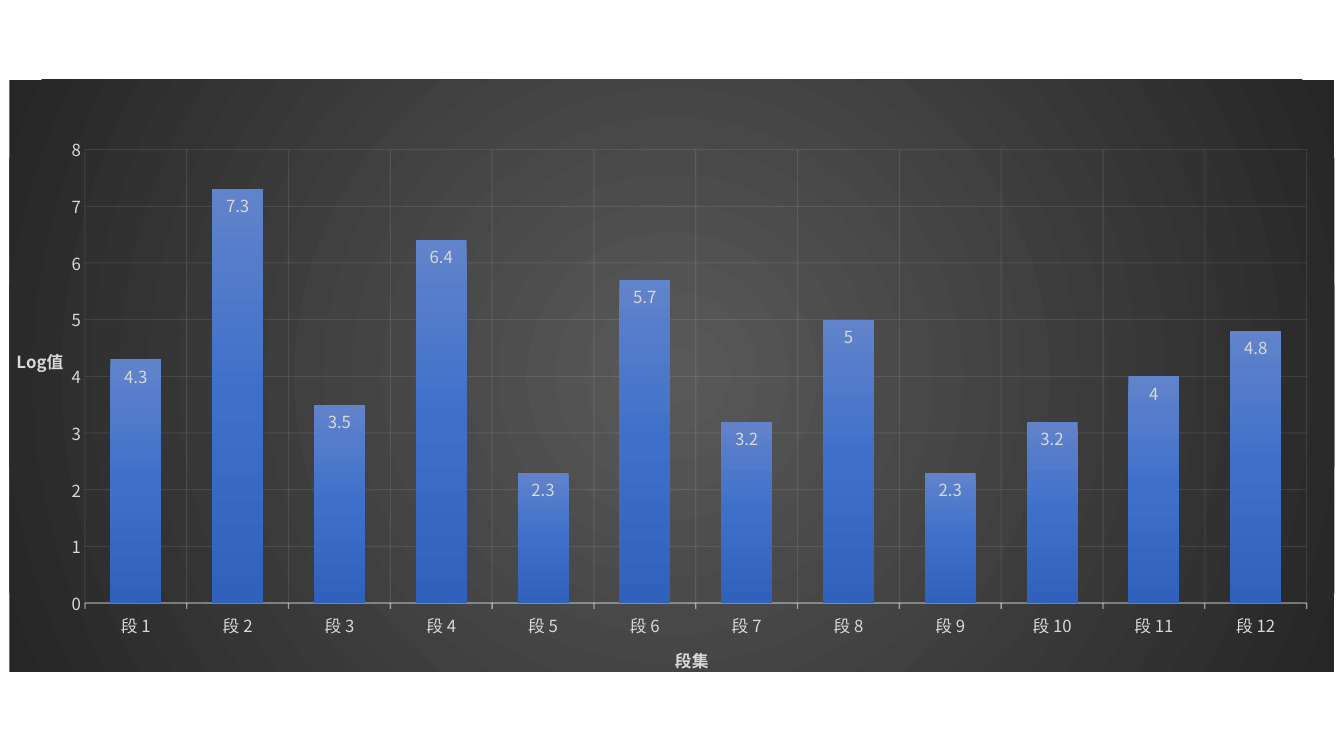
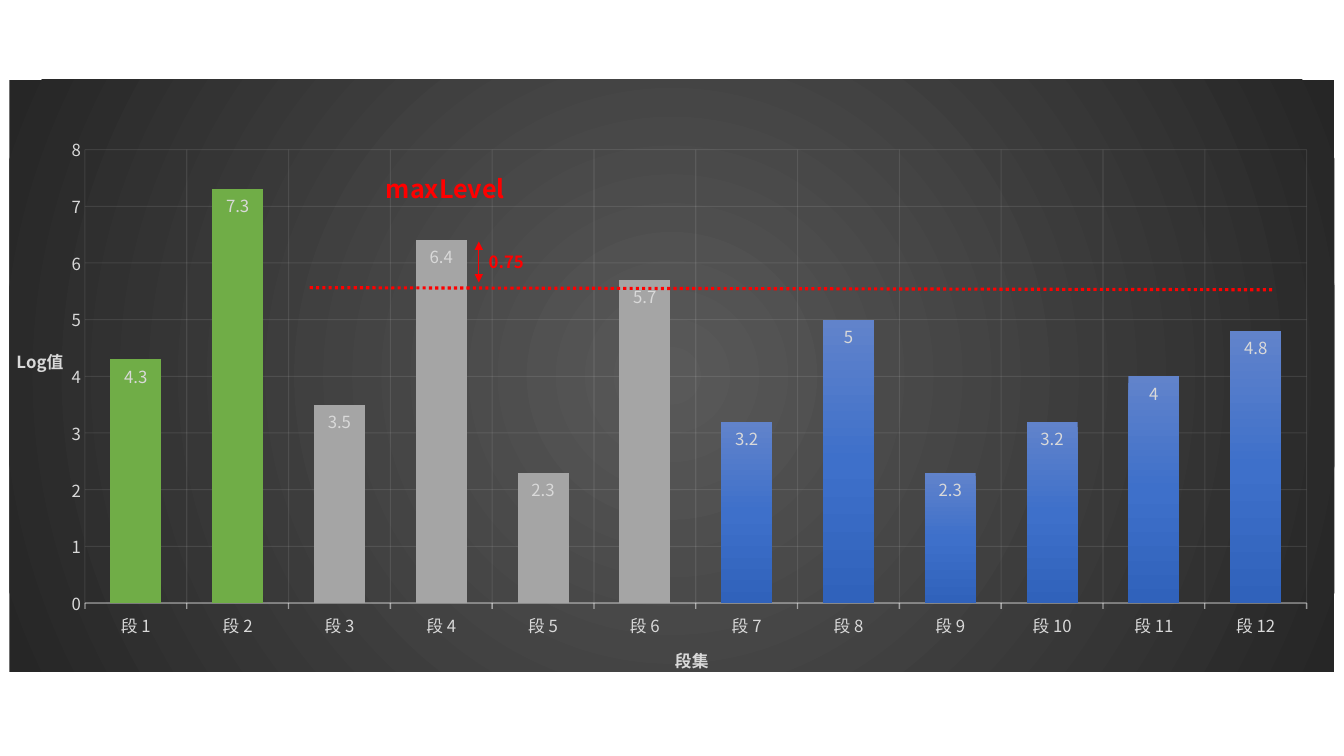
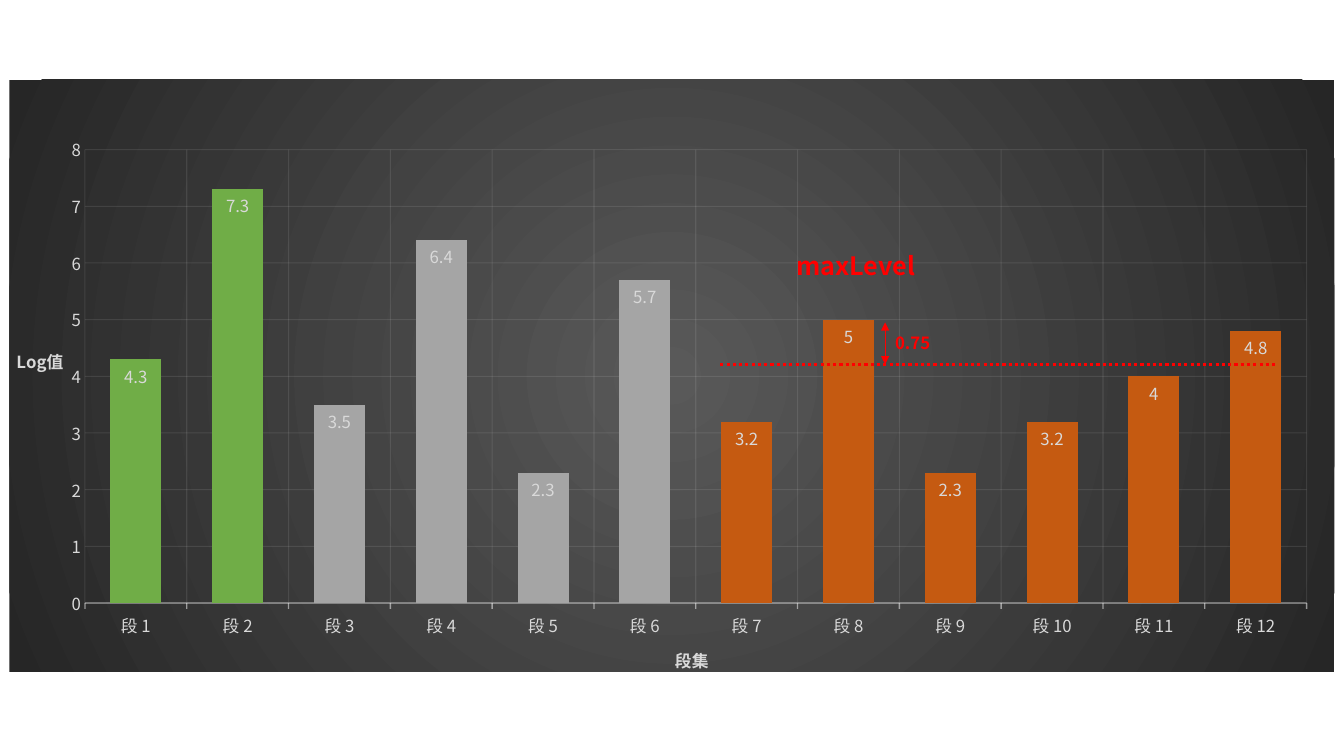
from pptx import Presentation
from pptx.chart.data import CategoryChartData
from pptx.dml.color import RGBColor
from pptx.enum.chart import XL_CHART_TYPE as ChartType
from pptx.enum.chart import XL_LABEL_POSITION as LabelPosition
from pptx.enum.chart import XL_TICK_MARK as TickMark
from pptx.enum.dml import MSO_LINE_DASH_STYLE as Dash
from pptx.enum.shapes import MSO_CONNECTOR as Connector
from pptx.enum.text import MSO_AUTO_SIZE as AutoSize
from pptx.oxml import parse_xml
from pptx.oxml.ns import nsdecls, qn
from pptx.util import Emu, Pt

FONT = "Noto Sans CJK SC"
RED = RGBColor(0xFF, 0x00, 0x00)
GREEN = RGBColor(0x70, 0xAD, 0x47)
GRAY = RGBColor(0xA5, 0xA5, 0xA5)
ORANGE = RGBColor(0xC5, 0x5A, 0x11)
LIGHT = RGBColor(0xD9, 0xD9, 0xD9)
PALE = RGBColor(0xF2, 0xF2, 0xF2)
PANEL_INNER = RGBColor(0x59, 0x59, 0x59)
PANEL_OUTER = RGBColor(0x26, 0x26, 0x26)
BAR_TOP = RGBColor(0x61, 0x83, 0xCB)
BAR_MIDDLE = RGBColor(0x3E, 0x70, 0xCA)
BAR_BOTTOM = RGBColor(0x30, 0x62, 0xBB)

LEVELS = (4.3, 7.3, 3.5, 6.4, 2.3, 5.7, 3.2, 5, 2.3, 3.2, 4, 4.8)
BAR_GRADIENT = ((0, BAR_TOP), (50, BAR_MIDDLE), (100, BAR_BOTTOM))
PANEL_GRADIENT = ((0, PANEL_INNER), (100, PANEL_OUTER))
LINEAR = '<a:lin ang="5400000" scaled="0"/>'
RADIAL = ('<a:path path="circle"><a:fillToRect l="50000" t="50000" '
          'r="50000" b="50000"/></a:path>')


def px(count):
    return Emu(count * 9525)


def style_font(font, size, color, bold=False):
    font.size = Pt(size)
    font.bold = bold
    font.color.rgb = color
    font.name = FONT
    font._rPr.append(parse_xml(f'<a:ea {nsdecls("a")} typeface="{FONT}"/>'))


def gradient_fill(stops, direction):
    marks = "".join(f'<a:gs pos="{pos * 1000}"><a:srgbClr val="{color}"/></a:gs>'
                    for pos, color in stops)
    return parse_xml(f'<a:gradFill {nsdecls("a")} rotWithShape="1">'
                     f'<a:gsLst>{marks}</a:gsLst>{direction}</a:gradFill>')


def set_layout(parent, index, target="", **bounds):
    for layout in parent.findall(qn("c:layout")):
        parent.remove(layout)
    inner = f'<c:layoutTarget val="{target}"/>' if target else ""
    modes = "".join(f'<c:{key}Mode val="edge"/>' for key in "xy")
    values = "".join(f'<c:{key} val="{value}"/>' for key, value in bounds.items())
    parent.insert(index, parse_xml(
        f'<c:layout {nsdecls("c")}><c:manualLayout>{inner}{modes}{values}'
        '</c:manualLayout></c:layout>'))


def style_line(line, width, opacity):
    line.width = Pt(width)
    line.color.rgb = PALE
    for color in line._get_or_add_ln().iter(qn("a:srgbClr")):
        color.append(parse_xml(f'<a:alpha {nsdecls("a")} val="{opacity * 1000}"/>'))


def style_axis(axis, title, x, y):
    axis.has_major_gridlines = True
    style_line(axis.major_gridlines.format.line, 0.75, 10)
    axis.minor_tick_mark = TickMark.NONE
    style_font(axis.tick_labels.font, 12, LIGHT)
    frame = axis.axis_title.text_frame
    span = frame.paragraphs[0].add_run()
    span.text = title
    style_font(span.font, 12, LIGHT, True)
    body = frame._txBody.bodyPr
    body.set("rot", "0")
    body.set("vert", "horz")
    set_layout(axis.axis_title._element, 1, x=x, y=y)


def style_series(series, groups):
    series.invert_if_negative = False
    series._element.get_or_add_spPr().insert(0, gradient_fill(BAR_GRADIENT, LINEAR))
    for first, last, color in groups:
        for number in range(first, last + 1):
            fill = series.points[number - 1].format.fill
            fill.solid()
            fill.fore_color.rgb = color


def add_level_chart(page, groups):
    data = CategoryChartData()
    data.categories = [f"段 {number}" for number in range(1, len(LEVELS) + 1)]
    data.add_series("Series 1", LEVELS)
    chart = page.shapes.add_chart(ChartType.COLUMN_CLUSTERED, px(9), px(76),
                                  px(1262), px(569), data).chart
    chart.has_legend = False
    chart.has_title = False
    style_font(chart.font, 10, RGBColor(0, 0, 0))
    root = chart._chartSpace
    panel = parse_xml(f'<c:spPr {nsdecls("c", "a")}><a:ln><a:noFill/></a:ln></c:spPr>')
    panel.insert(0, gradient_fill(PANEL_GRADIENT, RADIAL))
    root.find(qn("c:chart")).addnext(panel)
    set_layout(root.chart.plotArea, 0, "inner", x=0.057, y=0.118, w=0.922, h=0.766)

    style_axis(chart.category_axis, "段集", 0.5, 0.95)
    chart.category_axis.major_tick_mark = TickMark.OUTSIDE
    style_line(chart.category_axis.format.line, 1, 54)
    style_axis(chart.value_axis, "Log值", 0.003, 0.445)
    chart.value_axis.major_tick_mark = TickMark.NONE
    chart.value_axis.format.line.fill.background()
    chart.value_axis.minimum_scale = 0
    chart.value_axis.maximum_scale = 8
    chart.value_axis.major_unit = 1

    plot = chart.plots[0]
    plot.gap_width = 100
    plot.overlap = -24
    plot.vary_by_categories = False
    style_series(plot.series[0], groups)
    plot.has_data_labels = True
    labels = plot.data_labels
    labels.show_value = True
    labels.position = LabelPosition.INSIDE_END
    style_font(labels.font, 12, LIGHT)


def add_label(page, text, left, top, width, height, size):
    box = page.shapes.add_textbox(px(left), px(top), px(width), px(height))
    frame = box.text_frame
    frame.word_wrap = False
    frame.auto_size = AutoSize.SHAPE_TO_FIT_TEXT
    span = frame.paragraphs[0].add_run()
    span.text = text
    style_font(span.font, size, RED, True)


def add_red_line(page, start, end, width):
    connector = page.shapes.add_connector(
        Connector.STRAIGHT, *(px(value) for value in start + end))
    connector.line.color.rgb = RED
    connector.line.width = Pt(width)
    connector._element.spPr.append(parse_xml(f'<a:effectLst {nsdecls("a")}/>'))
    return connector.line


def add_threshold(page, label, start, end, arrow_x, arrow_top, arrow_bottom):
    add_label(page, "maxLevel", *label, 133, 38, 18)
    add_red_line(page, start, end, 2.25).dash_style = Dash.ROUND_DOT
    arrow = add_red_line(page, (arrow_x, arrow_top), (arrow_x, arrow_bottom), 0.75)
    for side in ("headEnd", "tailEnd"):
        arrow._get_or_add_ln().append(
            parse_xml(f'<a:{side} {nsdecls("a")} type="triangle"/>'))
    add_label(page, "0.75", arrow_x, arrow_top + 5, 54, 29, 12)


def main():
    deck = Presentation()
    deck.slide_width = px(1280)
    deck.slide_height = px(720)
    settled = [(1, 2, GREEN), (3, 6, GRAY)]
    pages = (
        ([], None),
        (settled, ((358, 160), (295, 274), (1213, 276), 456, 230, 269)),
        (settled + [(7, 12, ORANGE)],
         ((749, 234), (686, 347), (1216, 347), 843, 307, 347)),
    )
    for groups, threshold in pages:
        page = deck.slides.add_slide(deck.slide_layouts[6])
        add_level_chart(page, groups)
        if threshold:
            add_threshold(page, *threshold)
    deck.save("out.pptx")


if __name__ == "__main__":
    main()
